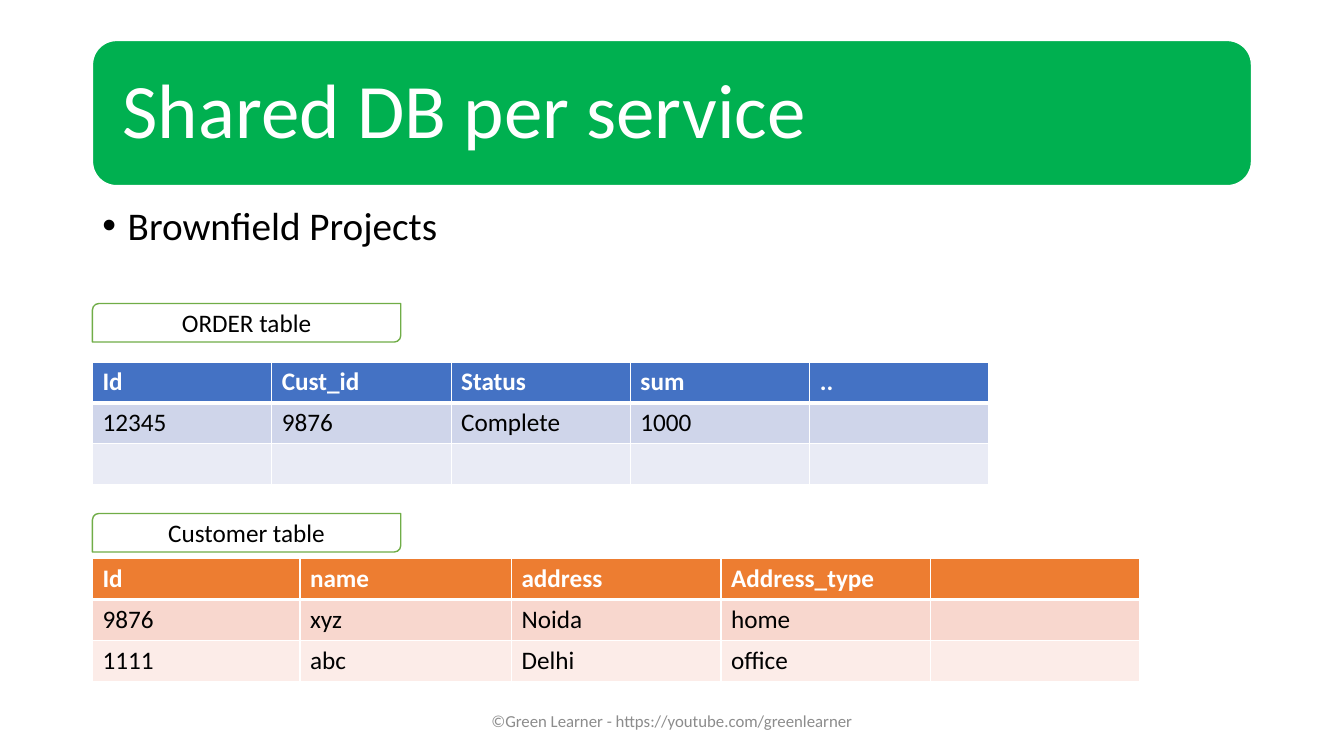
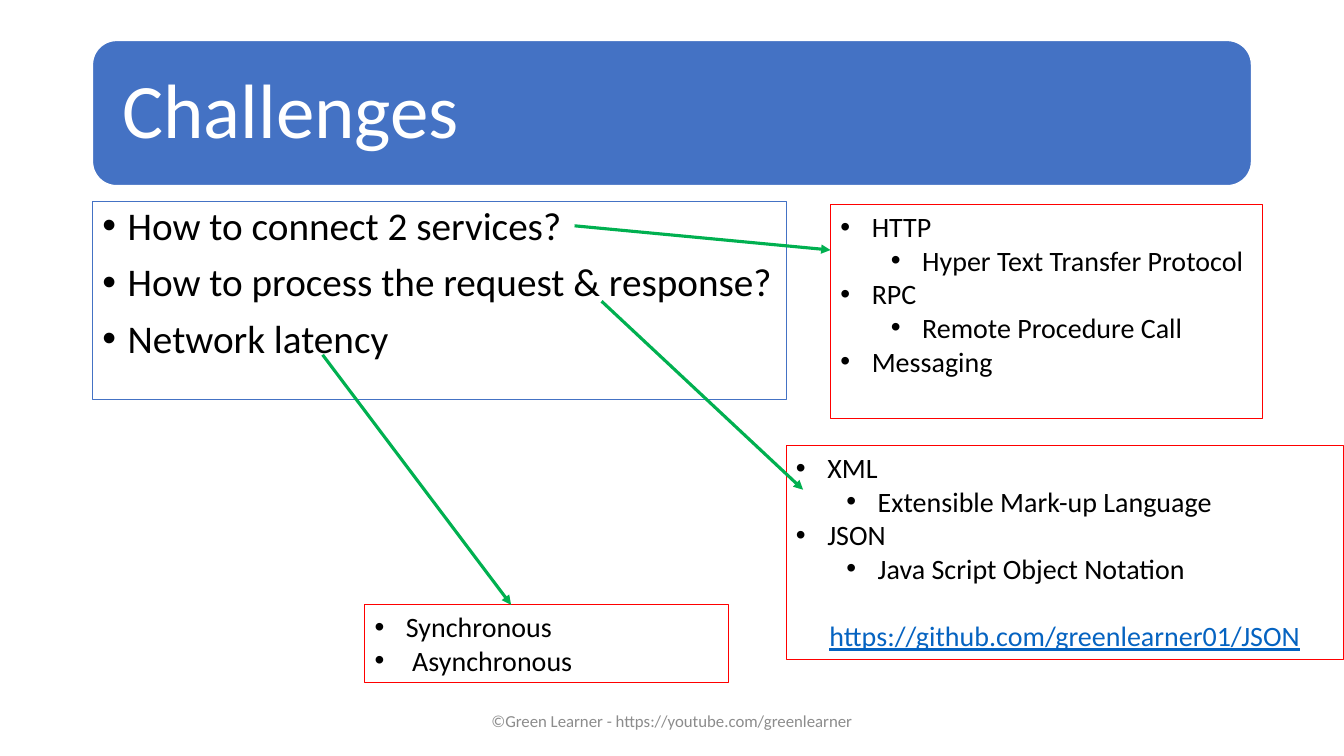
"""Build two slides on sharing a database and on the challenges of connecting services."""
from lxml.etree import SubElement
from pptx import Presentation
from pptx.dml.color import RGBColor
from pptx.enum.shapes import MSO_CONNECTOR, MSO_SHAPE
from pptx.enum.text import MSO_ANCHOR, MSO_AUTO_SIZE, PP_ALIGN
from pptx.oxml.ns import qn
from pptx.util import Cm, Pt

FONT = "Calibri"
LEFT = 2.33
COLORS = {
    "white": "FFFFFF", "black": "000000", "grey": "8C8C8C",
    "green": "00B050", "blue": "4472C4", "red": "FF0000",
    "label": "70AD47", "link": "0563C1", "orange": "ED7D31",
    "blue_mid": "CFD5EA", "blue_pale": "E9EBF5",
    "orange_mid": "F8D7CE", "orange_pale": "FCECE8",
}
FOOTER = "©Green Learner - https://youtube.com/greenlearner"
ROW_HEIGHT = 1.03

TABLES = [
    {
        "label": "ORDER table", "label_top": 7.65, "top": 9.12,
        "columns": [4.52] * 5,
        "fills": ["blue", "blue_mid", "blue_pale"],
        "rows": [
            ["Id", "Cust_id", "Status", "sum", ".."],
            ["12345", "9876", "Complete", "1000", ""],
            [""] * 5,
        ],
    },
    {
        "label": "Customer table", "label_top": 12.94, "top": 14.08,
        "columns": [5.23, 5.33, 5.28, 5.28, 5.28],
        "fills": ["orange", "orange_mid", "orange_pale"],
        "rows": [
            ["Id", "name", "address", "Address_type", ""],
            ["9876", "xyz", "Noida", "home", ""],
            ["1111", "abc", "Delhi", "office", ""],
        ],
    },
]

CHALLENGES = [
    "How to connect 2 services?",
    "How to process the request & response?",
    "Network latency",
]
ANSWERS = [
    {
        "box": (20.93, 5.16, 10.9, 5.38),
        "items": [("HTTP", 0), ("Hyper Text Transfer Protocol", 1), ("RPC", 0),
                  ("Remote Procedure Call", 1), ("Messaging", 0)],
    },
    {
        "box": (19.81, 11.23, 14.05, 5.38),
        "items": [("XML", 0), ("Extensible Mark-up Language", 1),
                  ("JSON", 0), ("Java Script Object Notation", 1)],
        "address": "https://github.com/greenlearner01/JSON",
    },
    {
        "box": (9.19, 15.24, 9.17, 1.96),
        "items": [("Synchronous", 0), (" Asynchronous", 0)],
    },
]
ARROWS = [
    (14.48, 5.69, 20.93, 6.3),
    (15.16, 7.59, 20.24, 12.34),
    (8.13, 8.94, 12.88, 15.24),
]


def rgb(name):
    return RGBColor.from_string(COLORS[name])


def lengths(*values):
    return [Cm(value) for value in values]


def add_run(paragraph, text, size, color="black", bold=False):
    run = paragraph.add_run()
    run.text = text
    run.font.name = FONT
    run.font.size = Pt(size)
    run.font.bold = bold
    run.font.color.rgb = rgb(color)
    return run


def add_bullet(paragraph, margin, hanging):
    properties = paragraph._p.get_or_add_pPr()
    properties.set("marL", str(Cm(margin)))
    properties.set("indent", str(-Cm(hanging)))
    SubElement(properties, qn("a:buFont"), typeface="Arial")
    SubElement(properties, qn("a:buChar"), char="•")


def next_paragraph(frame):
    first = frame.paragraphs[0]
    return frame.add_paragraph() if first.runs else first


def add_box(slide, box, line=None, width=0.75):
    shape = slide.shapes.add_textbox(*lengths(*box))
    shape.text_frame.word_wrap = True
    if line:
        shape.line.color.rgb = rgb(line)
        shape.line.width = Pt(width)
    return shape.text_frame


def add_panel(slide, kind, box, fill, line):
    shape = slide.shapes.add_shape(kind, *lengths(*box))
    shape.shadow.inherit = False
    shape.fill.solid()
    shape.fill.fore_color.rgb = rgb(fill)
    shape.line.color.rgb = rgb(line)
    shape.line.width = Pt(1)
    return shape


def add_slide(presentation, heading, band_color):
    slide = presentation.slides.add_slide(presentation.slide_layouts[5])
    title = slide.shapes.title
    band = add_panel(slide, MSO_SHAPE.ROUNDED_RECTANGLE,
                     (LEFT, 1.02, 29.21, 3.66), band_color, "white")
    title._element.addprevious(band._element)
    title.left, title.top, title.width, title.height = lengths(2.51, 1.2, 28.85, 3.3)
    frame = title.text_frame
    frame.auto_size = MSO_AUTO_SIZE.NONE
    frame.vertical_anchor = MSO_ANCHOR.MIDDLE
    frame.margin_left = frame.margin_right = Cm(0.58)
    frame.margin_top = frame.margin_bottom = Cm(0.58)
    paragraph = frame.paragraphs[0]
    paragraph.alignment = PP_ALIGN.LEFT
    paragraph.line_spacing = 0.9
    add_run(paragraph, heading, 55, "white")

    footer = add_box(slide, (11.22, 17.65, 11.43, 1.01))
    footer.vertical_anchor = MSO_ANCHOR.MIDDLE
    footer.paragraphs[0].alignment = PP_ALIGN.CENTER
    add_run(footer.paragraphs[0], FOOTER, 12, "grey")
    return slide


def add_body(slide, box, items, line=None):
    frame = add_box(slide, box, line)
    for index, text in enumerate(items):
        paragraph = next_paragraph(frame)
        add_bullet(paragraph, 0.64, 0.64)
        paragraph.line_spacing = 0.9
        if index:
            paragraph.space_before = Pt(10)
        add_run(paragraph, text, 28)


def add_label(slide, text, top):
    label = add_panel(slide, MSO_SHAPE.ROUND_2_DIAG_RECTANGLE,
                      (LEFT, top, 7.77, 0.97), "white", "label")
    label.text_frame.vertical_anchor = MSO_ANCHOR.MIDDLE
    paragraph = label.text_frame.paragraphs[0]
    paragraph.alignment = PP_ALIGN.CENTER
    add_run(paragraph, text, 18)


def set_borders(cell, row):
    properties = cell._tc.get_or_add_tcPr()
    widths = {"L": 1, "R": 1, "T": 3 if row == 1 else 1, "B": 3 if row == 0 else 1}
    for side, width in widths.items():
        line = SubElement(properties, qn(f"a:ln{side}"), w=str(Pt(width)))
        fill = SubElement(line, qn("a:solidFill"))
        SubElement(fill, qn("a:srgbClr"), val=COLORS["white"])


def add_data_table(slide, data):
    rows, columns = data["rows"], data["columns"]
    frame = slide.shapes.add_table(
        len(rows), len(columns),
        *lengths(LEFT, data["top"], sum(columns), ROW_HEIGHT * len(rows)))
    table = frame.table
    for column, width in zip(table.columns, columns):
        column.width = Cm(width)
    for row, (texts, fill) in enumerate(zip(rows, data["fills"])):
        table.rows[row].height = Cm(ROW_HEIGHT)
        header = row == 0
        for column, text in enumerate(texts):
            cell = table.cell(row, column)
            set_borders(cell, row)
            cell.fill.solid()
            cell.fill.fore_color.rgb = rgb(fill)
            if text:
                add_run(cell.text_frame.paragraphs[0], text, 18,
                        "white" if header else "black", header)


def add_answer(slide, answer):
    frame = add_box(slide, answer["box"], "red")
    for text, level in answer["items"]:
        paragraph = next_paragraph(frame)
        paragraph.level = level
        add_bullet(paragraph, 0.79 + 1.27 * level, 0.79)
        add_run(paragraph, text, 20)
    if "address" in answer:
        paragraph = next_paragraph(frame)
        paragraph.alignment = PP_ALIGN.CENTER
        paragraph.space_before = Pt(24)
        add_run(paragraph, answer["address"], 20, "link").font.underline = True


def add_arrow(slide, ends):
    arrow = slide.shapes.add_connector(MSO_CONNECTOR.STRAIGHT, *lengths(*ends))
    arrow.line.color.rgb = rgb("green")
    arrow.line.width = Pt(2.25)
    SubElement(arrow.line._get_or_add_ln(), qn("a:tailEnd"), type="triangle")
    SubElement(arrow._element.spPr, qn("a:effectLst"))


def main():
    presentation = Presentation()
    presentation.slide_width, presentation.slide_height = lengths(33.87, 19.05)

    slide = add_slide(presentation, "Shared DB per service", "green")
    add_body(slide, (LEFT, 5.08, 29.21, 2), ["Brownfield Projects"])
    for data in TABLES:
        add_data_table(slide, data)
        add_label(slide, data["label"], data["label_top"])

    slide = add_slide(presentation, "Challenges", "blue")
    add_body(slide, (LEFT, 5.08, 17.5, 5), CHALLENGES, "blue")
    for answer in ANSWERS:
        add_answer(slide, answer)
    for ends in ARROWS:
        add_arrow(slide, ends)

    presentation.save("out.pptx")


if __name__ == "__main__":
    main()
